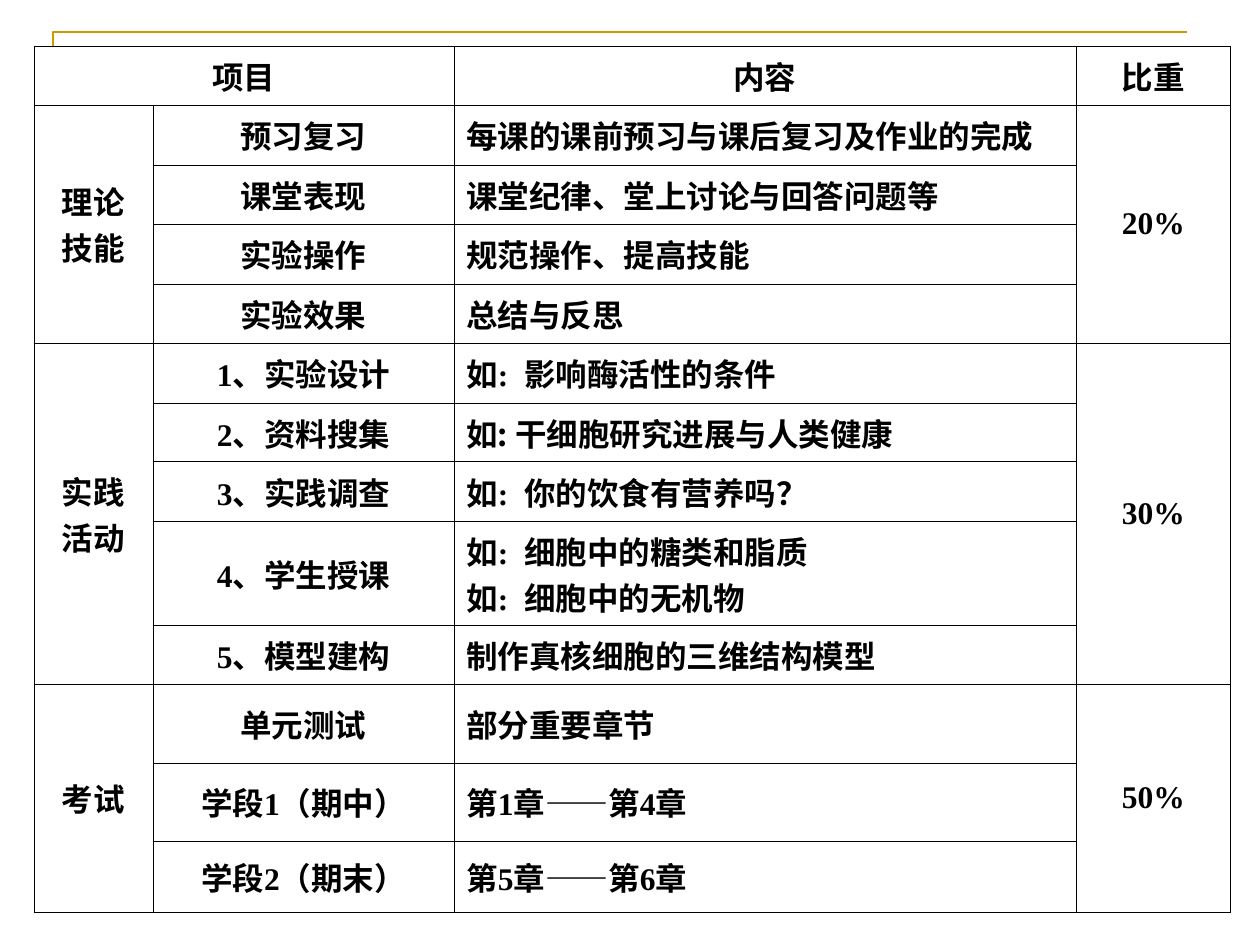
from lxml import etree
from pptx import Presentation
from pptx.dml.color import RGBColor
from pptx.enum.text import MSO_ANCHOR, PP_ALIGN
from pptx.oxml.ns import qn
from pptx.util import Inches, Pt

PX = Inches(1) // 126
MIDDLE = MSO_ANCHOR.MIDDLE
LEFT, CENTER = PP_ALIGN.LEFT, PP_ALIGN.CENTER
LATIN, CJK, SANS = "Times New Roman", "Noto Sans CJK SC", "Arial"
BLACK, WHITE, GOLD = "000000", "FFFFFF", "CC9900"


def paint(color, value):
    """Set a colour from a hex string."""
    color.rgb = RGBColor.from_string(value)


def border(cell):
    """Draw a thin black line on all four sides; call before filling."""
    props = cell._tc.get_or_add_tcPr()
    for side in ("lnL", "lnR", "lnT", "lnB"):
        line = etree.SubElement(props, qn("a:" + side), w=str(Pt(0.45)))
        fill = etree.SubElement(line, qn("a:solidFill"))
        etree.SubElement(fill, qn("a:srgbClr"), val=BLACK)


prs = Presentation()
prs.slide_width, prs.slide_height = Inches(10), Inches(7.5)
slide = prs.slides.add_slide(prs.slide_layouts[6])

# Gold corner rule
pen = slide.shapes.build_freeform(53, 116, scale=PX)
pen.add_line_segments([(53, 32), (1187, 32)], close=False)
rule = pen.convert_to_shape()
rule.shadow.inherit = False
rule.fill.background()
paint(rule.line.color, GOLD)
rule.line.width = Pt(1.5)

# Grading table: group, weight, items
groups = [
    ("理论\n技能", "20%", [
        ("预习复习", "每课的课前预习与课后复习及作业的完成"),
        ("课堂表现", "课堂纪律、堂上讨论与回答问题等"),
        ("实验操作", "规范操作、提高技能"),
        ("实验效果", "总结与反思"),
    ]),
    ("实践\n活动", "30%", [
        ("1、实验设计", "如:  影响酶活性的条件"),
        ("2、资料搜集", "如: 干细胞研究进展与人类健康"),
        ("3、实践调查", "如:  你的饮食有营养吗？"),
        ("4、学生授课", "如:  细胞中的糖类和脂质\n如:  细胞中的无机物"),
        ("5、模型建构", "制作真核细胞的三维结构模型"),
    ]),
    ("考试", "50%", [
        ("单元测试", "部分重要章节"),
        ("学段1（期中）", "第1章——第4章"),
        ("学段2（期末）", "第5章——第6章"),
    ]),
]
widths = [119, 301, 622, 155]
heights = [59, 60] * 4 + [104, 58, 79, 78, 71]
fonts = {(6, 2): CJK, (10, 1): SANS, (10, 2): SANS}

table = slide.shapes.add_table(
    len(heights), len(widths), 34 * PX, 46 * PX,
    sum(widths) * PX, sum(heights) * PX).table
table.first_row = table.horz_banding = False
for col, width in zip(table.columns, widths):
    col.width = width * PX
for row, height in zip(table.rows, heights):
    row.height = height * PX

table.cell(0, 0).merge(table.cell(0, 1))
for col, text in ((0, "项目"), (2, "内容"), (3, "比重")):
    table.cell(0, col).text = text
top = 1
for name, weight, items in groups:
    end = top + len(items) - 1
    for col, text in ((0, name), (3, weight)):
        table.cell(top, col).merge(table.cell(end, col))
        table.cell(top, col).text = text
    for row, pair in enumerate(items, top):
        for col, text in enumerate(pair, 1):
            table.cell(row, col).text = text
    top = end + 1

for r in range(len(heights)):
    for c in range(len(widths)):
        cell = table.cell(r, c)
        border(cell)
        cell.fill.solid()
        paint(cell.fill.fore_color, WHITE)
        cell.vertical_anchor = MIDDLE
        for para in cell.text_frame.paragraphs:
            para.alignment = LEFT if r and c == 2 else CENTER
            for run in para.runs:
                font = run.font
                font.size, font.bold = Pt(18), True
                paint(font.color, BLACK)
                font.name = fonts.get((r, c), LATIN)
                latin = run._r.rPr.find(qn("a:latin"))
                latin.addnext(etree.Element(qn("a:ea"), typeface=CJK))

prs.save("out.pptx")
